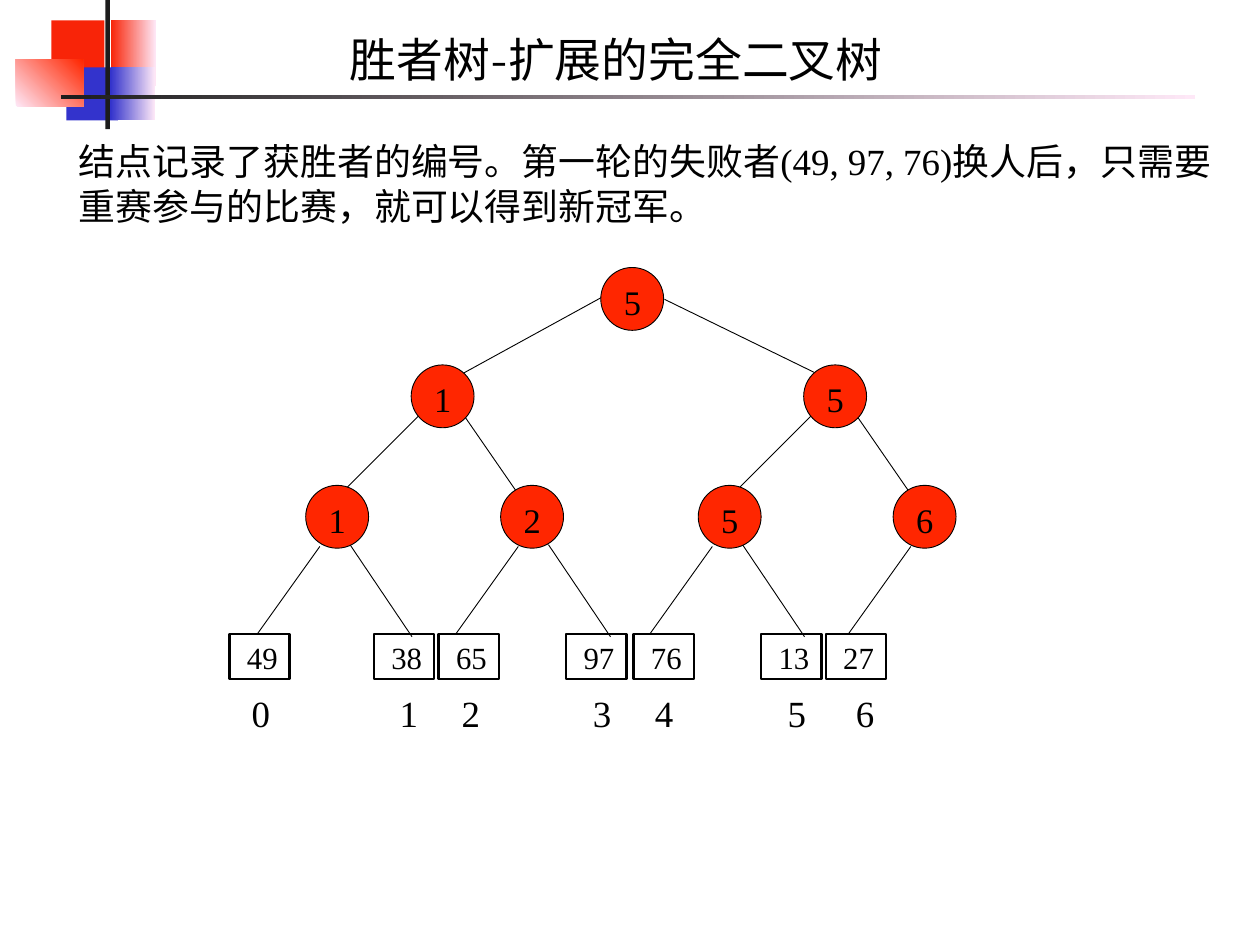
import pptx
import pptx.dml.color
import pptx.enum.dml
import pptx.enum.shapes
import pptx.enum.text
import pptx.oxml.ns
import pptx.util
import lxml.etree

Inches = pptx.util.Inches
SHAPE = pptx.enum.shapes.MSO_SHAPE
ALIGN = pptx.enum.text.PP_ALIGN
ANCHOR = pptx.enum.text.MSO_ANCHOR

COLORS = {"red": "F82408", "node": "FF2600", "blue": "3333CC", "pink": "FEE8F7",
          "dark": "1C1C1C", "black": "000000"}
SERIF = "Times New Roman"
NODE_SIZE = 0.71
LEAF_SIZE = (0.68, 0.51)


def color(name):
    """Return the palette colour with this name."""
    return pptx.dml.color.RGBColor.from_string(COLORS[name])


def write(shape, lines, size, font=SERIF, align=ALIGN.LEFT, anchor=ANCHOR.MIDDLE, wrap=True):
    """Fill a shape with paragraphs in one format."""
    frame = shape.text_frame
    frame_format = {"word_wrap": wrap, "vertical_anchor": anchor}
    frame_format.update({f"margin_{side}": Inches(0.06) for side in ("left", "right", "top", "bottom")})
    for name, value in frame_format.items():
        setattr(frame, name, value)
    for index, line in enumerate(lines):
        para = frame.add_paragraph() if index else frame.paragraphs[0]
        para.alignment = align
        para._p.get_or_add_pPr().set("indent", str(Inches(0.06)))
        span = para.add_run()
        span.text = line
        for name, value in {"size": pptx.util.Pt(size), "name": font}.items():
            setattr(span.font, name, value)
        span.font.color.rgb = color("black")


def add_text(page, box, lines, size, **options):
    """Add a text box."""
    write(page.shapes.add_textbox(*map(Inches, box)), lines, size, **options)


def add_shape(page, kind, box, fills=(), angle=0, border=None):
    """Add a shape with no fill, a plain fill or a two-colour gradient."""
    shape = page.shapes.add_shape(kind, *map(Inches, box))
    shape.shadow.inherit = False
    if len(fills) == 2:
        shape.fill.gradient()
        shape.fill.gradient_angle = angle
        for stop, name in zip(shape.fill.gradient_stops, fills):
            stop.color.rgb = color(name)
    elif fills:
        shape.fill.solid()
        shape.fill.fore_color.rgb = color(fills[0])
    else:
        shape.fill.background()
    if border:
        shape.line.color.rgb = color("black")
        shape.line.width = pptx.util.Pt(border)
    else:
        shape.line.fill.background()
    return shape


def add_edge(page, left, top, ends):
    """Draw a thin tree edge between two points relative to a node."""
    x1, y1, x2, y2 = ends
    edge = page.shapes.add_connector(
        pptx.enum.shapes.MSO_CONNECTOR.STRAIGHT,
        *map(Inches, (left + x1, top + y1, left + x2, top + y2)))
    edge.line.color.rgb = color("black")
    edge.line.width = pptx.util.Pt(0.75)
    lxml.etree.SubElement(edge._element.spPr, pptx.oxml.ns.qn("a:effectLst"))


def add_node(page, left, top, winner):
    """Draw a round node with the number of its winner."""
    add_shape(page, SHAPE.OVAL, (left, top, NODE_SIZE, NODE_SIZE), ["node"], border=0.75)
    add_text(page, (left + 0.14, top + 0.09, 0.38, 0.54), [winner], 28,
             anchor=ANCHOR.TOP, wrap=False)


def add_ornament(page, left, top):
    """Draw the coloured squares and the two rules of the header."""
    parts = [
        ((1.07, 0.23, 0.51, 0.74), ["red", "pink"], 0),
        ((0.4, 0.23, 0.6, 0.6), ["red"], 0),
        ((0.57, 0.76, 0.58, 0.6), ["blue"], 0),
        ((1.07, 0.76, 0.5, 0.6), ["blue", "pink"], 0),
        ((0, 0.67, 0.76, 0.53), ["pink", "node"], 45),
        ((1.01, 0, 0.05, 1.46), ["dark"], 0),
        ((0.51, 1.07, 12.8, 0.05), ["dark", "pink"], 0),
    ]
    for (x, y, width, height), fills, angle in parts:
        add_shape(page, SHAPE.RECTANGLE, (left + x, top + y, width, height), fills, angle)


def add_pair(page, left, top, winner, shift, edges):
    """Draw a first-round node with the edges to its players."""
    for ends in edges:
        add_edge(page, left + shift, top, ends)
    add_node(page, left, top, winner)


def add_half(page, left, top, winner, pairs):
    """Draw a semi-final node with its two first-round nodes."""
    for ends in ((0.54, 0.49, 1.32, 1.62), (0.14, 0.52, -0.73, 1.39)):
        add_edge(page, left, top, ends)
    add_node(page, left, top, winner)
    falls = ((0.16, 0.69, -0.54, 1.67), (0.5, 0.67, 1.2, 1.71))
    for (name, players), x, shift in zip(pairs, (-1.19, 1.01), (0, 0.04)):
        add_pair(page, left + x, top + 1.36, name, shift, falls[:players])


def add_tree(page, left, top):
    """Draw the winner tree from its root down to the first round."""
    for ends in ((0.17, 0.25, -1.58, 1.21), (0.72, 0.36, 2.42, 1.19)):
        add_edge(page, left, top, ends)
    add_node(page, left, top, "5")
    add_half(page, left - 2.14, top + 1.1, "1", [("1", 2), ("2", 2)])
    add_half(page, left + 2.29, top + 1.1, "5", [("5", 2), ("6", 1)])


def add_players(page, left, top):
    """Draw the row of players with their numbers below."""
    scores = ("49", "38", "65", "97", "76", "13", "27")
    leaf_offsets = (0, 1.63, 2.36, 3.8, 4.56, 6, 6.73)
    label_offsets = (0.13, 1.8, 2.5, 3.98, 4.68, 6.18, 6.95)
    for number, (score, leaf_x, label_x) in enumerate(zip(scores, leaf_offsets, label_offsets)):
        leaf = add_shape(page, SHAPE.RECTANGLE, (left + leaf_x, top, *LEAF_SIZE), border=2)
        write(leaf, [score], 25, align=ALIGN.CENTER)
        add_text(page, (left + label_x, top + 0.6, 0.38, 0.57), [str(number)], 30)


def main():
    """Build the winner tree slide."""
    deck = pptx.Presentation()
    deck.slide_width, deck.slide_height = Inches(14.22), Inches(10.67)
    page = deck.slides.add_slide(deck.slide_layouts[6])
    add_ornament(page, 0.18, 0)
    add_text(page, (1.76, 0.22, 10.33, 0.88), ["胜者树-扩展的完全二叉树"], 38,
             font="Montserrat", align=ALIGN.CENTER)
    add_tree(page, 6.78, 3.02)
    add_players(page, 2.59, 7.16)
    add_text(page, (0.77, 1.42, 13.08, 1.3),
             ["结点记录了获胜者的编号。第一轮的失败者(49, 97, 76)换人后，只需要",
              "重赛参与的比赛，就可以得到新冠军。"], 30)
    deck.save("out.pptx")


if __name__ == "__main__":
    main()
